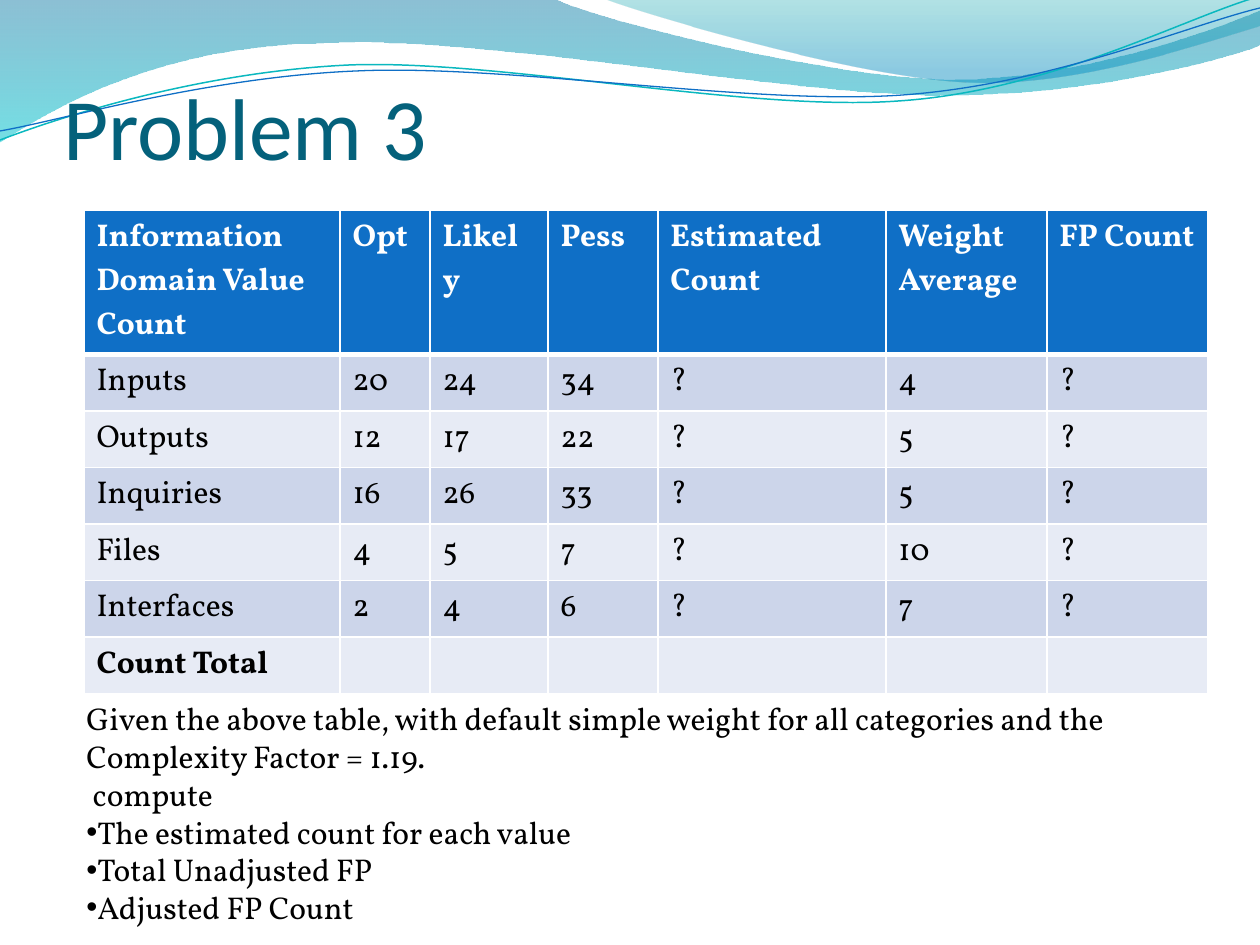
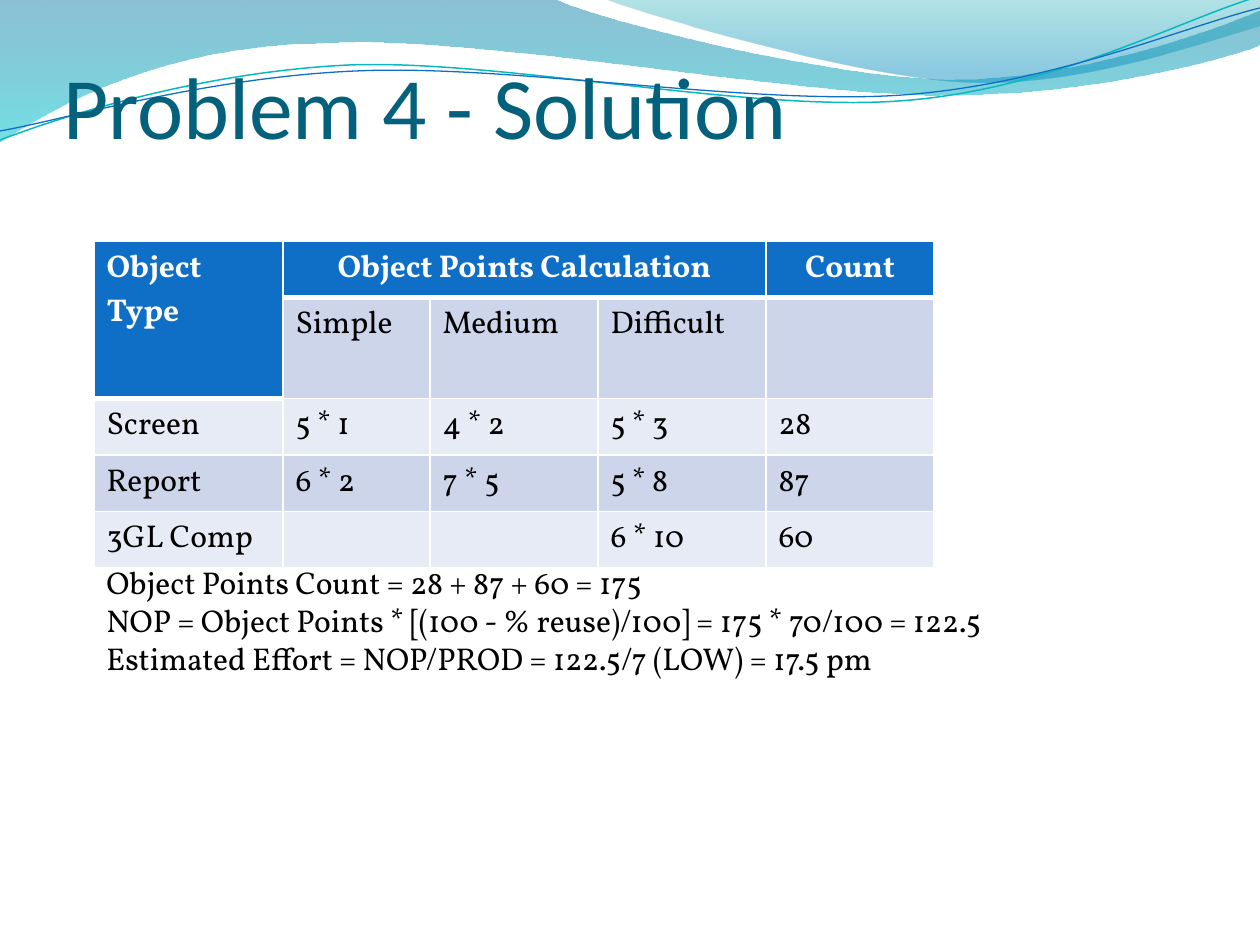
from lxml import etree
from pptx import Presentation
from pptx import util as u
from pptx.dml.color import RGBColor
from pptx.enum import text
from pptx.oxml.ns import qn

PX = u.Inches(1) / 126
TITLE_FONT, BODY_FONT = "Calibri", "Vollkorn"
WHITE, BLACK, TITLE_COLOR = "FFFFFF", "000000", "04617B"
HEADER_FILL, BAND_FILLS = "0F6FC6", ("E7EBF5", "CCD5EA")
BODY_SIZE, TITLE_SIZE = 18, 50

# Outlines: a start point, then segments of one point (line) or three (curve)
BROAD_WAVE = [
    (0, 0), [(554, -1)],
    [(600, 21), (837, 79), (955, 79)],
    [(1075, 79), (1207, 33), (1260, 11)],
    [(1261, 45)],
    [(1239, 55), (1096, 96), (940, 95)],
    [(784, 95), (481, 35), (324, 43)],
    [(163, 45), (58, 105), (-1, 142)],
]
RIGHT_WAVE = [
    (604, -1),
    [(641, 14), (859, 78), (969, 82)],
    [(1079, 87), (1211, 40), (1260, 26)],
    [(1260, 0)],
]
TEAL_LINE = [
    (0, 140),
    [(60, 117), (199, 72), (349, 65)],
    [(498, 59), (747, 112), (898, 101)],
    [(1050, 91), (1182, 19), (1257, -3)],
]
BLUE_LINE = [
    (0, 131),
    [(59, 121), (207, 77), (357, 71)],
    [(508, 64), (752, 106), (903, 95)],
    [(1053, 84), (1186, 26), (1260, 8)],
]


def px(length):
    return u.Emu(round(length * PX))


def rgb(color):
    return RGBColor.from_string(color)


def format_runs(paragraph, size, color, bold=False, font=BODY_FONT):
    for run in paragraph.runs:
        run.font.name = font
        run.font.size = u.Pt(size)
        run.font.bold = bold
        run.font.color.rgb = rgb(color)


# Wave decoration, shared through the layout
def bend_segments(shape, segments):
    """Join the lines through each segment's three points into one Bézier curve."""
    lines = iter(list(shape.element.iter(qn("a:lnTo"))))
    for segment in segments:
        parts = [next(lines) for _ in segment]
        if len(parts) == 3:
            curve = etree.Element(qn("a:cubicBezTo"))
            parts[0].addprevious(curve)
            for part in parts:
                curve.append(part[0])
                part.getparent().remove(part)


def add_outline(slide, outline, close):
    start, *segments = outline
    builder = slide.shapes.build_freeform(px(start[0]), px(start[1]))
    points = [(px(x), px(y)) for segment in segments for x, y in segment]
    builder.add_line_segments(points, close=close)
    shape = builder.convert_to_shape()
    bend_segments(shape, segments)
    shape.shadow.inherit = False
    return shape


def add_wave(slide, outline, stops):
    """Each stop is (position, color, opacity in percent)."""
    shape = add_outline(slide, outline, True)
    shape.line.fill.background()
    shape.fill.gradient()
    shape.fill.gradient_angle = 270
    for stop, (position, color, _) in zip(shape.fill.gradient_stops, stops):
        stop.position = position
        stop.color.rgb = rgb(color)
    for element, (_, _, opacity) in zip(shape.element.iter(qn("a:srgbClr")), stops):
        etree.SubElement(element, qn("a:alpha"), val=str(opacity * 1000))
    return shape


def add_wave_line(slide, outline, color, width):
    shape = add_outline(slide, outline, False)
    shape.fill.background()
    shape.line.color.rgb = rgb(color)
    shape.line.width = u.Pt(width)
    return shape


def decorate_layout(layout, slide):
    """Draw the waves on a slide and move them behind the layout's placeholders."""
    shapes = [
        add_wave(slide, BROAD_WAVE, [(0, "0074A1", 45), (1, "00C6CF", 55)]),
        add_wave(slide, RIGHT_WAVE, [(0, "00A1A9", 30), (0.8, "008BBF", 45)]),
        add_wave_line(slide, TEAL_LINE, "0AB8BF", 0.85),
        add_wave_line(slide, BLUE_LINE, HEADER_FILL, 0.75),
    ]
    for index, shape in enumerate(shapes):
        shape.element.xpath(".//p:cNvPr")[0].set("id", str(20 + index))
        layout.shapes.element.insert(2 + index, shape.element)


# Slide elements
def set_title(slide, wording, height):
    title = slide.shapes.title
    title.left, title.top, title.width, title.height = px(63), px(37), px(1134), px(height)
    frame = title.text_frame
    frame.text = wording
    frame.word_wrap = True
    frame.auto_size = text.MSO_AUTO_SIZE.NONE
    frame.vertical_anchor = text.MSO_ANCHOR.BOTTOM
    frame.margin_left = frame.margin_right = frame.margin_bottom = 0
    frame.margin_top = px(6)
    paragraph = frame.paragraphs[0]
    paragraph.alignment = text.PP_ALIGN.LEFT
    format_runs(paragraph, TITLE_SIZE, TITLE_COLOR, font=TITLE_FONT)


def set_borders(cell, bottom_width):
    properties = cell._tc.get_or_add_tcPr()
    for side, width in (("L", 1), ("R", 1), ("T", 1), ("B", bottom_width)):
        line = etree.SubElement(properties, qn(f"a:ln{side}"), w=str(u.Pt(width)))
        fill = etree.SubElement(line, qn("a:solidFill"))
        etree.SubElement(fill, qn("a:srgbClr"), val=WHITE)


def style_cell(cell, row, header, bold):
    set_borders(cell, 3 if header else 1)
    cell.fill.solid()
    cell.fill.fore_color.rgb = rgb(HEADER_FILL if header else BAND_FILLS[row % 2])
    for paragraph in cell.text_frame.paragraphs:
        format_runs(paragraph, BODY_SIZE, WHITE if header else BLACK, header or bold)


def add_grid(slide, left, top, widths, heights, rows, header_cells=(), bold_cells=()):
    """The first row is a header; header_cells lists further (row, column) headers."""
    frame = slide.shapes.add_table(
        len(rows), len(widths), px(left), px(top), px(sum(widths)), px(sum(heights)))
    table = frame.table
    for column, width in zip(table.columns, widths):
        column.width = px(width)
    for table_row, height in zip(table.rows, heights):
        table_row.height = px(height)
    for r, values in enumerate(rows):
        for c, value in enumerate(values):
            cell = table.cell(r, c)
            cell.text = value
            style_cell(cell, r, r == 0 or (r, c) in header_cells, (r, c) in bold_cells)
    return table


def add_notes_box(slide, left, top, width, height, lines, bullets=()):
    box = slide.shapes.add_textbox(px(left), px(top), px(width), px(height))
    frame = box.text_frame
    frame.word_wrap = True
    frame.text = "\n".join((*lines, *bullets))
    for index, paragraph in enumerate(frame.paragraphs):
        paragraph.line_spacing = u.Pt(21.6)
        if index >= len(lines):
            properties = paragraph._p.get_or_add_pPr()
            etree.SubElement(properties, qn("a:buFont"), typeface="Arial")
            etree.SubElement(properties, qn("a:buChar"), char="•")
        format_runs(paragraph, BODY_SIZE, BLACK)


# Slides
def build_problem_3(slide):
    set_title(slide, "Problem 3", 141)
    rows = [
        ("Information Domain Value Count", "Opt", "Likely", "Pess",
         "Estimated Count", "Weight\nAverage", "FP Count"),
        ("Inputs", "20", "24", "34", "?", "4", "?"),
        ("Outputs", "12", "17", "22", "?", "5", "?"),
        ("Inquiries", "16", "26", "33", "?", "5", "?"),
        ("Files", "4", "5", "7", "?", "10", "?"),
        ("Interfaces", "2", "4", "6", "?", "7", "?"),
        ("Count Total", "", "", "", "", "", ""),
    ]
    add_grid(slide, 84, 210, [256, 90, 118, 110, 228, 161, 161],
             [144] + [56] * 6, rows, bold_cells=[(6, 0)])
    add_notes_box(
        slide, 74, 693, 1166, 280,
        ["Given the above table, with default simple weight for all categories "
         "and the Complexity Factor = 1.19.",
         " compute"],
        ["The estimated count for each value", "Total Unadjusted FP", "Adjusted FP Count"])


def build_problem_4(slide):
    set_title(slide, "Problem 4 - Solution", 120)
    rows = [
        ("Object Type", "Object Points Calculation", "", "", "Count"),
        ("", "Simple", "Medium", "Difficult", ""),
        ("Screen", "5 * 1", "4 * 2", "5 * 3", "28"),
        ("Report", "6 * 2", "7 * 5", "5 * 8", "87"),
        ("3GL Comp", "", "", "6 * 10", "60"),
    ]
    table = add_grid(slide, 94, 241, [189, 147, 168, 168, 168],
                     [56, 101, 56, 56, 56], rows, header_cells=[(1, 0)])
    table.cell(0, 0).merge(table.cell(1, 0))
    table.cell(0, 1).merge(table.cell(0, 3))
    for column in (1, 4):
        table.cell(0, column).text_frame.paragraphs[0].alignment = text.PP_ALIGN.CENTER
    add_notes_box(
        slide, 94, 557, 1071, 204,
        ["Object Points Count = 28 + 87 + 60 = 175",
         "NOP = Object Points * [(100 - % reuse)/100] = 175 * 70/100 = 122.5",
         "Estimated Effort = NOP/PROD = 122.5/7 (LOW) = 17.5 pm"])


def main():
    presentation = Presentation()
    presentation.slide_width, presentation.slide_height = px(1260), px(945)
    layout = presentation.slide_layouts[5]
    slides = [presentation.slides.add_slide(layout) for _ in range(2)]
    decorate_layout(layout, slides[0])
    build_problem_3(slides[0])
    build_problem_4(slides[1])
    presentation.save("out.pptx")


if __name__ == "__main__":
    main()
